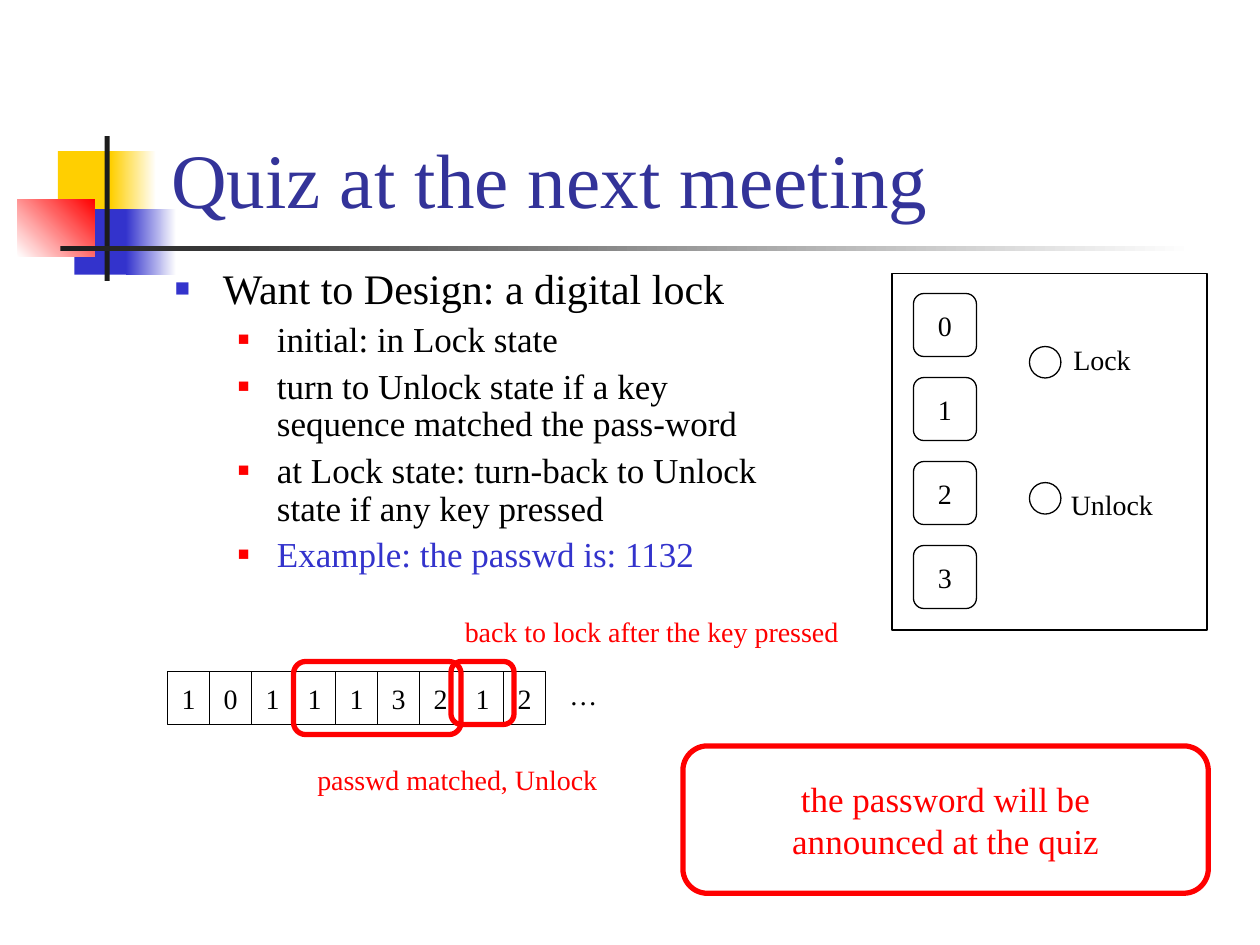
from lxml.etree import SubElement
from pptx import Presentation
from pptx.dml.color import RGBColor
from pptx.enum.shapes import MSO_SHAPE
from pptx.enum.text import MSO_ANCHOR, MSO_AUTO_SIZE, PP_ALIGN
from pptx.oxml.ns import qn
from pptx.util import Inches, Pt

FONT = "Times New Roman"
BLACK = RGBColor(0x00, 0x00, 0x00)
WHITE = RGBColor(0xFF, 0xFF, 0xFF)
RED = RGBColor(0xFF, 0x00, 0x00)
YELLOW = RGBColor(0xFF, 0xCF, 0x01)
BLUE = RGBColor(0x33, 0x33, 0xCC)
NAVY = RGBColor(0x33, 0x33, 0x99)
CHARCOAL = RGBColor(0x1C, 0x1C, 0x1C)


def write(p, text, size=16, color=BLACK, font=FONT, align=PP_ALIGN.LEFT):
    """Add text to a paragraph with the given format."""
    p.alignment = align
    r = p.add_run()
    r.text = text
    r.font.name = font
    r.font.size = Pt(size)
    r.font.color.rgb = color


class SlideBuilder:
    def __init__(self, slide, line_width=0.75):
        self.s = slide
        self.line_width = line_width

    def _shape(self, kind, box):
        sp = self.s.shapes.add_shape(kind, *map(Inches, box))
        sp.shadow.inherit = False
        return sp

    def block(self, box, color, end=None, angle=0):
        """Borderless block, plain or fading from color to end."""
        sp = self._shape(MSO_SHAPE.RECTANGLE, box)
        sp.line.fill.background()
        if end is None:
            sp.fill.solid()
            sp.fill.fore_color.rgb = color
            return
        sp.fill.gradient()
        sp.fill.gradient_angle = angle
        for stop, rgb, pos in zip(sp.fill.gradient_stops, (color, end), (0, 1)):
            stop.color.rgb = rgb
            stop.position = pos

    def outline(self, kind, box, lines=(), color=BLACK, width=None, size=16):
        """Unfilled shape with optional centred lines of text."""
        sp = self._shape(kind, box)
        sp.fill.background()
        sp.line.color.rgb = color
        sp.line.width = Pt(width or self.line_width)
        tf = sp.text_frame
        tf.word_wrap = False
        tf.vertical_anchor = MSO_ANCHOR.MIDDLE
        for i, text in enumerate(lines):
            p = tf.add_paragraph() if i else tf.paragraphs[0]
            write(p, text, size=size, color=color, align=PP_ALIGN.CENTER)

    def text_frame(self, box, anchor=MSO_ANCHOR.TOP, wrap=True):
        tf = self.s.shapes.add_textbox(*map(Inches, box)).text_frame
        tf.word_wrap = wrap
        tf.vertical_anchor = anchor
        return tf

    def title(self, box, text):
        tf = self.text_frame(box, MSO_ANCHOR.BOTTOM)
        write(tf.paragraphs[0], text, size=44, color=NAVY)

    def label(self, box, text, color=BLACK):
        tf = self.text_frame(box, wrap=False)
        tf.auto_size = MSO_AUTO_SIZE.SHAPE_TO_FIT_TEXT
        write(tf.paragraphs[0], text, color=color)

    def bullets(self, box, items):
        """Items are (level, text, color)."""
        styles = [(24, 0.38, 0.38, BLUE, 60), (20, 0.81, 0.31, RED, 55)]
        tf = self.text_frame(box)
        for i, (level, text, color) in enumerate(items):
            size, margin, hang, bullet_color, percent = styles[level]
            p = tf.add_paragraph() if i else tf.paragraphs[0]
            p.level = level
            p.line_spacing = 0.9
            p.space_before = Pt(5 if i else 0)
            pPr = p._p.get_or_add_pPr()
            pPr.set("marL", str(Inches(margin)))
            pPr.set("indent", str(-Inches(hang)))
            clr = SubElement(pPr, qn("a:buClr"))
            SubElement(clr, qn("a:srgbClr"), val=str(bullet_color))
            SubElement(pPr, qn("a:buSzPct"), val=str(percent * 1000))
            SubElement(pPr, qn("a:buFont"), typeface=FONT)
            SubElement(pPr, qn("a:buChar"), char="■")
            write(p, text, size=size, color=color)


def main():
    prs = Presentation()
    prs.slide_width, prs.slide_height = Inches(10), Inches(7.5)
    b = SlideBuilder(prs.slides.add_slide(prs.slide_layouts[6]))

    # Corner decoration and title rule
    b.block((0.46, 1.2, 0.48, 0.52), YELLOW)
    b.block((0.88, 1.2, 0.36, 0.52), YELLOW, WHITE)
    b.block((0.59, 1.66, 0.46, 0.52), BLUE)
    b.block((1, 1.66, 0.4, 0.52), BLUE, WHITE)
    b.block((0.14, 1.58, 0.61, 0.46), WHITE, RED, angle=45)
    b.block((0.83, 1.08, 0.04, 1.15), CHARCOAL)
    b.block((0.48, 1.95, 9, 0.04), CHARCOAL, WHITE)

    # Title and bullets
    b.title((1.26, 0.23, 8.52, 1.6), "Quiz at the next meeting")
    b.bullets((1.29, 2.08, 5, 2.92), [
        (0, "Want to Design: a digital lock", BLACK),
        (1, "initial: in Lock state", BLACK),
        (1, "turn to Unlock state if a key sequence matched the pass-word", BLACK),
        (1, "at Lock state: turn-back to Unlock state if any key pressed", BLACK),
        (1, "Example: the passwd is: 1132", BLUE),
    ])

    # Lock panel: keys and state lamps
    for i in range(4):
        b.outline(MSO_SHAPE.ROUNDED_RECTANGLE,
                  (7.25, 2.33 + i * 2 / 3, 0.5, 0.5), [str(i)])
    b.outline(MSO_SHAPE.RECTANGLE, (7.08, 2.17, 2.5, 2.83))
    for lamp_top, label_box, state in [(2.75, (8.42, 2.67, 0.7, 0.37), "Lock"),
                                       (3.83, (8.4, 3.82, 0.9, 0.37), "Unlock")]:
        b.outline(MSO_SHAPE.OVAL, (8.17, lamp_top, 0.25, 0.25))
        b.label(label_box, state)

    # Key sequence
    cell = 1 / 3
    for i, key in enumerate("101113212"):
        b.outline(MSO_SHAPE.RECTANGLE, (1.33 + i * cell, 5.33, cell, 0.42), [key])
    b.label((4.42, 5.33, 0.45, 0.37), "…")

    # Highlights and their notes
    for frame, note_box, note in [
        ((2.33, 5.25, 1.33, 0.58), (2.42, 6, 2.47, 0.37), "passwd matched, Unlock"),
        ((3.58, 5.25, 0.5, 0.5), (3.59, 4.83, 3.25, 0.37),
         "back to lock after the key pressed"),
    ]:
        b.outline(MSO_SHAPE.ROUNDED_RECTANGLE, frame, color=RED, width=3)
        b.label(note_box, note, RED)

    # Announcement
    b.outline(MSO_SHAPE.ROUNDED_RECTANGLE, (5.42, 5.92, 4.17, 1.17),
              ["the password will be", "announced at the quiz"],
              color=RED, width=3, size=20)

    prs.save("out.pptx")


if __name__ == "__main__":
    main()
